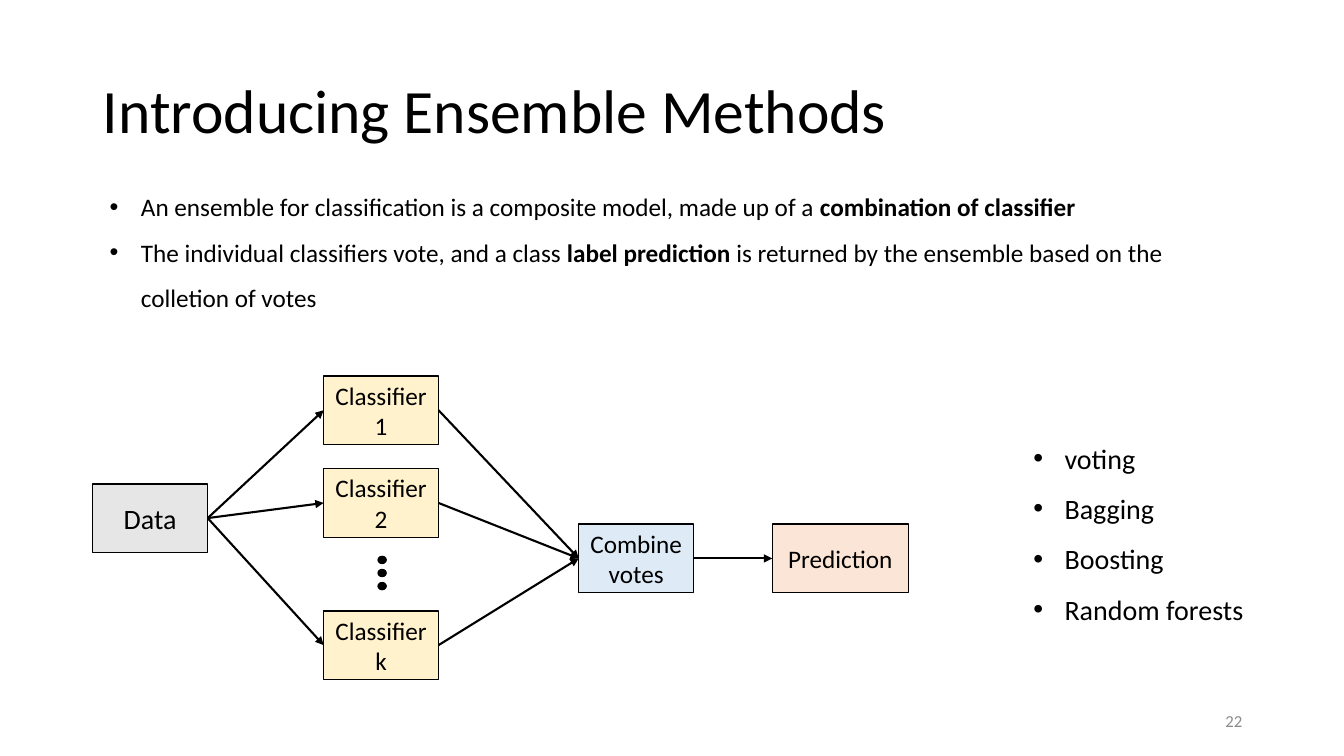
from lxml import etree
from pptx import Presentation
from pptx import util as u
from pptx.dml.color import RGBColor
from pptx.enum import shapes, text
from pptx.oxml.ns import qn

TITLE = "Introducing Ensemble Methods"
PAGE_NUMBER = "22"
# Each bullet is a list of (wording, bold)
SUMMARY = [
    [("An ensemble for classification is a composite model, made up of a ", False),
     ("combination of classifier", True)],
    [("The individual classifiers vote, and a class ", False),
     ("label prediction", True),
     (" is returned by the ensemble based on the colletion of votes", False)],
]
METHODS = [[(name, False)] for name in ("voting", "Bagging", "Boosting", "Random forests")]

# Node: left, top, width, fill, text size
NODE_HEIGHT = 0.68
NODES = {
    "Data": (0.92, 4.8, 1.14, "E7E6E6", 20),
    "Classifier1": (3.21, 3.73, 1.14, "FFF2CC", 18),
    "Classifier2": (3.21, 4.65, 1.14, "FFF2CC", 18),
    "Classifierk": (3.21, 6.06, 1.14, "FFF2CC", 18),
    "Combine votes": (5.74, 5.2, 1.14, "DEEBF7", 18),
    "Prediction": (7.66, 5.2, 1.35, "FBE5D6", 18),
}
CLASSIFIERS = [name for name in NODES if name.startswith("Classifier")]
ARROWS = ([("Data", name) for name in CLASSIFIERS]
          + [(name, "Combine votes") for name in CLASSIFIERS]
          + [("Combine votes", "Prediction")])
DOT_LEFT, DOT_TOP, DOT_STEP = 3.75, 5.52, 0.13

deck = Presentation()
deck.slide_width, deck.slide_height = u.Inches(13.33), u.Inches(7.5)
page = deck.slides.add_slide(deck.slide_layouts[5])


def color(value):
    return RGBColor.from_string(value)


def inches(*lengths):
    return [u.Inches(length) for length in lengths]


def style(para, size, ink="000000", align=text.PP_ALIGN.LEFT):
    para.alignment = align
    para.font.name = "Calibri"
    para.font.size = u.Pt(size)
    para.font.color.rgb = color(ink)


def add_bullets(place, items, size):
    box = page.shapes.add_textbox(*inches(*place))
    frame = box.text_frame
    frame.word_wrap = True
    frame.auto_size = text.MSO_AUTO_SIZE.SHAPE_TO_FIT_TEXT
    for index, spans in enumerate(items):
        para = frame.paragraphs[0] if index == 0 else frame.add_paragraph()
        props = para._p.get_or_add_pPr()
        props.set("marL", str(u.Inches(0.31)))
        props.set("indent", str(u.Inches(-0.31)))
        etree.SubElement(props, qn("a:buFont"), typeface="Arial")
        etree.SubElement(props, qn("a:buChar"), char="•")
        para.line_spacing = 1.5
        style(para, size)
        for wording, bold in spans:
            span = para.add_run()
            span.text = wording
            if bold:
                span.font.bold = True


def add_solid(kind, place, fill):
    shape = page.shapes.add_shape(kind, *inches(*place))
    shape.shadow.inherit = False
    shape.fill.solid()
    shape.fill.fore_color.rgb = color(fill)
    shape.line.color.rgb = color("000000")
    shape.line.width = u.Pt(1)
    return shape


def add_arrow(start, end):
    arrow = page.shapes.add_connector(shapes.MSO_CONNECTOR.STRAIGHT, 0, 0, 0, 0)
    arrow.begin_connect(start, 3)
    arrow.end_connect(end, 1)
    arrow.line.color.rgb = color("000000")
    arrow.line.width = u.Pt(1.5)
    etree.SubElement(arrow.line._get_or_add_ln(), qn("a:tailEnd"), type="triangle")
    etree.SubElement(arrow._element.spPr, qn("a:effectLst"))


# Title
title = page.shapes.title
title.left, title.top, title.width, title.height = inches(0.92, 0.4, 11.5, 1.45)
title.text_frame.text = TITLE
title.text_frame.vertical_anchor = text.MSO_ANCHOR.MIDDLE
title.text_frame.paragraphs[0].line_spacing = 0.9
style(title.text_frame.paragraphs[0], 44)

# Bullet lists
add_bullets((10.15, 4.16, 3.38, 2.07), METHODS, 20)
add_bullets((0.99, 1.7, 11.5, 1.42), SUMMARY, 18)

# Dots between the second and the last classifier
for index in range(3):
    add_solid(shapes.MSO_SHAPE.OVAL,
              (DOT_LEFT, DOT_TOP + index * DOT_STEP, 0.08, 0.07), "000000")

# Nodes and arrows
boxes = {}
for name, (left, top, width, fill, size) in NODES.items():
    box = add_solid(shapes.MSO_SHAPE.RECTANGLE, (left, top, width, NODE_HEIGHT), fill)
    box.text_frame.word_wrap = True
    box.text_frame.vertical_anchor = text.MSO_ANCHOR.MIDDLE
    box.text_frame.text = name
    style(box.text_frame.paragraphs[0], size, align=text.PP_ALIGN.CENTER)
    boxes[name] = box
for start, end in ARROWS:
    add_arrow(boxes[start], boxes[end])

# Page number
number = page.shapes.add_textbox(*inches(9.42, 6.95, 3, 0.4))
number.text_frame.word_wrap = True
number.text_frame.vertical_anchor = text.MSO_ANCHOR.MIDDLE
number.text_frame.text = PAGE_NUMBER
style(number.text_frame.paragraphs[0], 12, "8C8C8C", text.PP_ALIGN.RIGHT)

deck.save("out.pptx")
